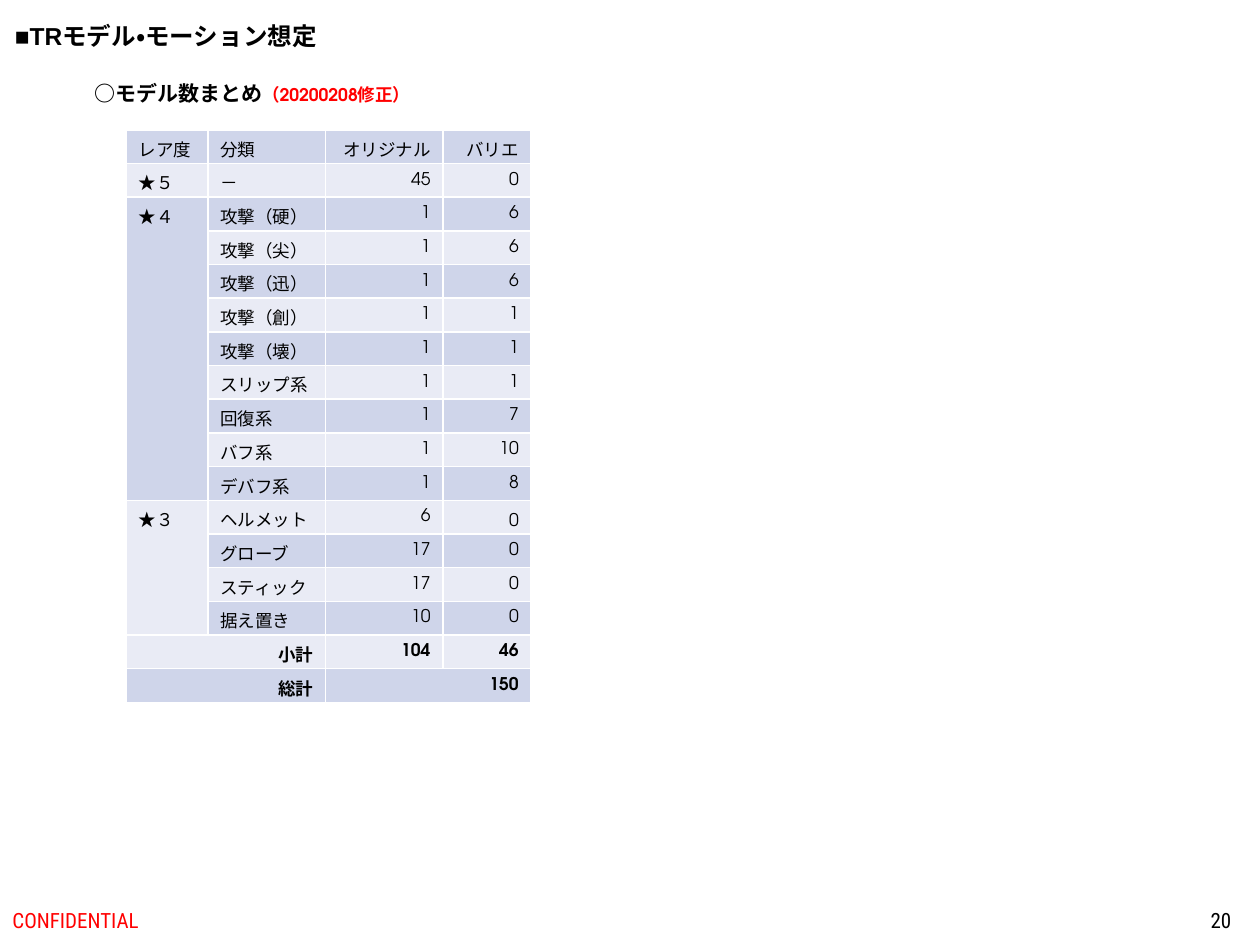
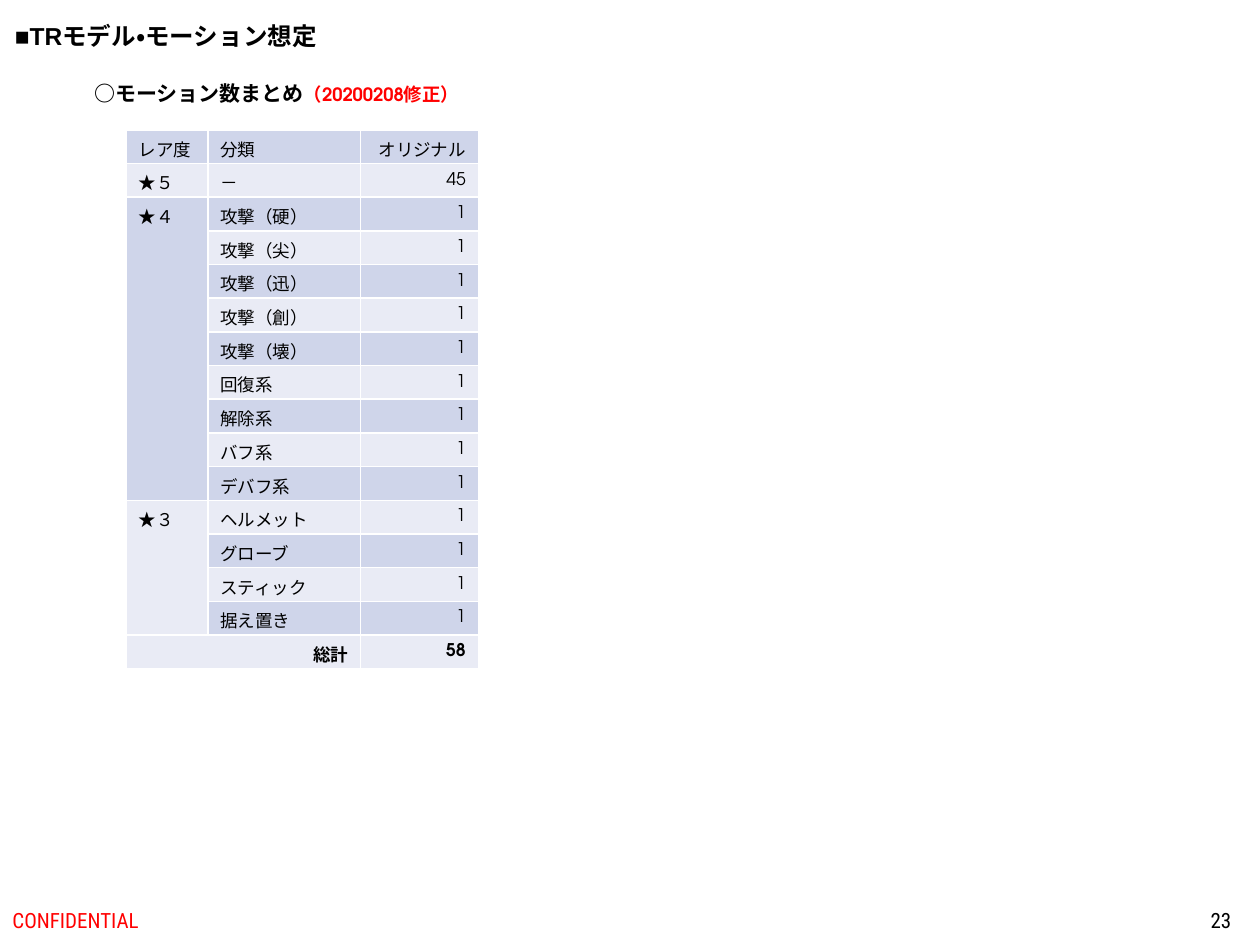
from dataclasses import dataclass

from lxml import etree
from pptx import Presentation
from pptx.dml.color import RGBColor
from pptx.enum.lang import MSO_LANGUAGE_ID as Language
from pptx.enum.text import MSO_ANCHOR as Anchor, PP_ALIGN as Align
from pptx.oxml.ns import qn
from pptx.util import Pt

PX = 3048  # EMU per px, 300 px to the inch


@dataclass(frozen=True)
class Theme:
    black: str = "000000"
    red: str = "FF0000"
    white: str = "FFFFFF"
    bands: tuple = ("CFD5EA", "E9EBF5")
    title_font: str = "Arial"
    body_font: str = "TeX Gyre Adventor"
    footer_font: str = "Roboto Condensed"
    title_size: float = 14
    heading_size: float = 12
    footer_size: float = 12
    table_size: float = 10


theme = Theme()


def add_run(paragraph, text, font, size, color=theme.black, bold=False):
    run = paragraph.add_run()
    run.text = text
    run.font.name = font
    run.font.size = Pt(size)
    run.font.bold = bold
    run.font.color.rgb = RGBColor.from_string(color)
    run.font.language_id = Language.JAPANESE


def add_text(slide, left, top, width, height, wrap=True, anchor=Anchor.TOP, align=Align.LEFT):
    box = slide.shapes.add_textbox(left * PX, top * PX, width * PX, height * PX)
    box.text_frame.word_wrap = wrap
    box.text_frame.vertical_anchor = anchor
    paragraph = box.text_frame.paragraphs[0]
    paragraph.alignment = align
    return paragraph


# Contents: merges are (first row, first column, last row, last column)
attacks = [f"攻撃（{kind}）" for kind in "硬尖迅創壊"]
gear = ["ヘルメット", "グローブ", "スティック", "据え置き"]

model_categories = attacks + ["スリップ系", "回復系", "バフ系", "デバフ系"] + gear
model_originals = ["1"] * 9 + ["6", "17", "17", "10"]
model_variations = ["6", "6", "6", "1", "1", "1", "7", "10", "8", "　0", "0", "0", "0"]
motion_categories = attacks + ["回復系", "解除系", "バフ系", "デバフ系"] + gear
rarities = ["★４"] + [""] * 8 + ["★３"] + [""] * 3
rarity_merges = [(2, 0, 10, 0), (11, 0, 14, 0)]

pages = [
    {
        "number": "20",
        "heading": "○モデル数まとめ",
        "heading_width": 822,
        "note_size": 10,
        "columns": [195, 280, 280, 210],
        "rows": [
            ("レア度", "分類", "オリジナル", "バリエ"),
            ("★５", "－", "45", "0"),
            *zip(rarities, model_categories, model_originals, model_variations),
            ("小計", "", "104", "46"),
            ("総計", "", "150", ""),
        ],
        "merges": rarity_merges + [(15, 0, 15, 1), (16, 0, 16, 1), (16, 2, 16, 3)],
    },
    {
        "number": "23",
        "heading": "○モーション数まとめ",
        "heading_width": 939,
        "note_size": 10.5,
        "columns": [195, 364, 280],
        "rows": [
            ("レア度", "分類", "オリジナル"),
            ("★５", "－", "45"),
            *zip(rarities, motion_categories, ["1"] * 13),
            ("総計", "", "58"),
        ],
        "merges": rarity_merges + [(15, 0, 15, 1)],
    },
]
FIRST_TOTAL_ROW = 15
ROW_HEIGHT = 80

presentation = Presentation()
presentation.slide_width = 3000 * PX
presentation.slide_height = 2250 * PX

for page in pages:
    slide = presentation.slides.add_slide(presentation.slide_layouts[6])

    # Title and footer
    title = add_text(slide, 6, 36, 852, 102, wrap=False)
    add_run(title, "■TRモデル・モーション想定", theme.title_font, theme.title_size, bold=True)
    notice = add_text(slide, 0, 2130, 1014, 120, anchor=Anchor.MIDDLE)
    add_run(notice, "CONFIDENTIAL", theme.footer_font, theme.footer_size, theme.red)
    number = add_text(slide, 2286, 2130, 675, 120, anchor=Anchor.MIDDLE, align=Align.RIGHT)
    add_run(number, page["number"], theme.footer_font, theme.footer_size)

    # Heading with its revision note
    heading = add_text(slide, 195, 177, page["heading_width"], 90)
    add_run(heading, page["heading"], theme.body_font, theme.heading_size, bold=True)
    add_run(heading, "（20200208修正）", theme.body_font, page["note_size"], theme.red, bold=True)

    # Summary table
    rows, columns = page["rows"], page["columns"]
    frame = slide.shapes.add_table(
        len(rows), len(columns), 300 * PX, 309 * PX,
        sum(columns) * PX, len(rows) * ROW_HEIGHT * PX)
    table = frame.table
    table.first_row = False
    table.horz_banding = False
    for column, width in zip(table.columns, columns):
        column.width = width * PX
    for row in table.rows:
        row.height = ROW_HEIGHT * PX
    for top, left, bottom, right in page["merges"]:
        table.cell(top, left).merge(table.cell(bottom, right))

    for row_index, values in enumerate(rows):
        is_total = row_index >= FIRST_TOTAL_ROW
        for column_index, value in enumerate(values):
            cell = table.cell(row_index, column_index)
            # White borders go ahead of the fill
            properties = cell._tc.get_or_add_tcPr()
            for side in ("lnL", "lnR", "lnT", "lnB"):
                line = etree.SubElement(properties, qn(f"a:{side}"), w=str(Pt(1)))
                fill = etree.SubElement(line, qn("a:solidFill"))
                etree.SubElement(fill, qn("a:srgbClr"), val=theme.white)
            cell.fill.solid()
            cell.fill.fore_color.rgb = RGBColor.from_string(theme.bands[row_index % 2])
            if cell.is_spanned:
                continue
            merged_label = cell.is_merge_origin and column_index == 0
            cell.vertical_anchor = Anchor.TOP if merged_label else Anchor.MIDDLE
            paragraph = cell.text_frame.paragraphs[0]
            paragraph.alignment = Align.RIGHT if is_total or column_index > 1 else Align.LEFT
            add_run(paragraph, value, theme.body_font, theme.table_size, bold=is_total)

presentation.save("out.pptx")
